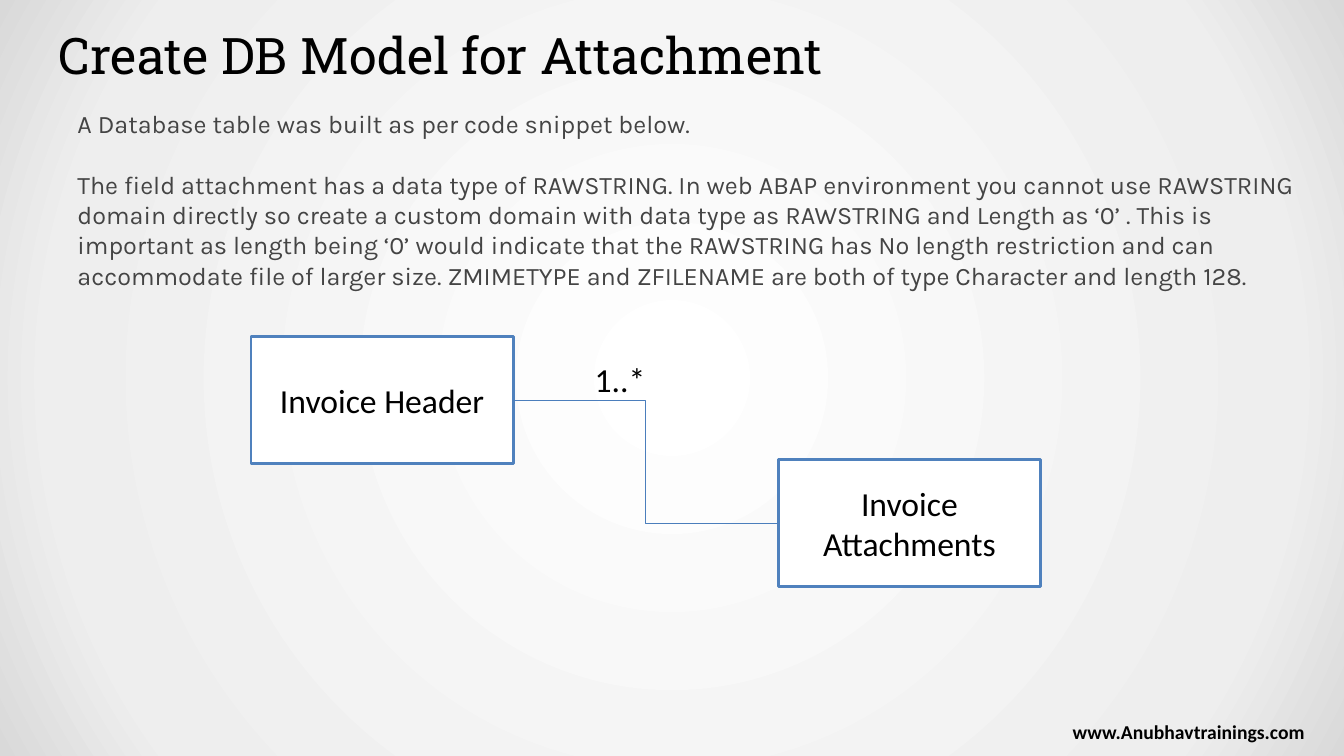
from lxml import etree
from pptx import Presentation
from pptx.dml.color import RGBColor
from pptx.enum.shapes import MSO_CONNECTOR, MSO_SHAPE
from pptx.enum.text import MSO_ANCHOR, MSO_AUTO_SIZE, PP_ALIGN
from pptx.oxml import parse_xml
from pptx.oxml.ns import nsdecls, qn
from pptx.util import Inches, Pt

LEFT, CENTER = PP_ALIGN.LEFT, PP_ALIGN.CENTER
TOP, MIDDLE = MSO_ANCHOR.TOP, MSO_ANCHOR.MIDDLE
FIT_SHAPE, NO_FIT = MSO_AUTO_SIZE.SHAPE_TO_FIT_TEXT, MSO_AUTO_SIZE.NONE
RECTANGLE, ELBOW = MSO_SHAPE.RECTANGLE, MSO_CONNECTOR.ELBOW
LEFT_SIDE, RIGHT_SIDE = 1, 3

COLORS = {
    "text": "000000",
    "body": "444444",
    "box": "FFFFFF",
    "border": "4F81BD",
    "relation": "4B7EBC",
}
BACKGROUND_STOPS = [(0, "FFFFFF"), (81, "EEEEEE"), (100, "D9D9D9")]
BOX_WIDTH, BOX_HEIGHT = 2.6, 1.26

BODY = [
    "A Database table was built as per code snippet below.",
    "The field attachment has a data type of RAWSTRING. In web ABAP environment "
    "you cannot use RAWSTRING domain directly so create a custom domain with data "
    "type as RAWSTRING and Length as ‘0’ . This is important as length being ‘0’ "
    "would indicate that the RAWSTRING has No length restriction and can "
    "accommodate file of larger size. ZMIMETYPE and ZFILENAME are both of type "
    "Character and length 128.",
]


def color(name):
    return RGBColor.from_string(COLORS[name])


def set_background(slide):
    slide.background.fill.solid()
    solid = slide.element.find(".//" + qn("a:solidFill"))
    stops = "".join(
        f'<a:gs pos="{position * 1000}"><a:srgbClr val="{value}"/></a:gs>'
        for position, value in BACKGROUND_STOPS
    )
    gradient = parse_xml(
        f'<a:gradFill {nsdecls("a")} rotWithShape="1"><a:gsLst>{stops}</a:gsLst>'
        '<a:path path="circle"><a:fillToRect l="50000" t="50000" r="50000" '
        'b="50000"/></a:path></a:gradFill>'
    )
    solid.getparent().replace(solid, gradient)


def set_text(shape, text, size, font="Calibri", color_name="text", bold=False,
             align=LEFT, anchor=TOP, fit=NO_FIT, gap=0):
    frame = shape.text_frame
    frame.text = text
    frame.word_wrap = True
    frame.auto_size = fit
    frame.vertical_anchor = anchor
    for index, paragraph in enumerate(frame.paragraphs):
        paragraph.alignment = align
        paragraph.space_before = Pt(gap if index else 0)
        for run in paragraph.runs:
            run.font.name = font
            run.font.size = Pt(size)
            run.font.bold = bold
            run.font.color.rgb = color(color_name)


def set_wide_margins(shape):
    frame = shape.text_frame
    frame.margin_left = frame.margin_right = Inches(0.13)
    frame.margin_top = frame.margin_bottom = Inches(0.07)


def add_title(slide, text):
    title = slide.shapes.title
    title.left, title.top = Inches(0.45), Inches(0.15)
    title.width, title.height = Inches(12), Inches(0.78)
    set_text(title, text, 36, font="Roboto Slab", anchor=MIDDLE)
    set_wide_margins(title)


def add_text(slide, left, top, width, height, text, size, **style):
    box = slide.shapes.add_textbox(
        Inches(left), Inches(top), Inches(width), Inches(height))
    set_text(box, text, size, **style)
    return box


def add_entity(slide, left, top, name):
    entity = slide.shapes.add_shape(
        RECTANGLE, Inches(left), Inches(top), Inches(BOX_WIDTH), Inches(BOX_HEIGHT))
    entity.shadow.inherit = False
    entity.fill.solid()
    entity.fill.fore_color.rgb = color("box")
    entity.line.color.rgb = color("border")
    entity.line.width = Pt(2)
    set_text(entity, name, 24, align=CENTER, anchor=MIDDLE)
    return entity


def add_relation(slide, source, target):
    relation = slide.shapes.add_connector(ELBOW, 0, 0, 0, 0)
    relation.begin_connect(source, RIGHT_SIDE)
    relation.end_connect(target, LEFT_SIDE)
    relation.line.color.rgb = color("relation")
    relation.line.width = Pt(0.75)
    etree.SubElement(relation.element.spPr, qn("a:effectLst"))


def main():
    presentation = Presentation()
    presentation.slide_width = Inches(13.33)
    presentation.slide_height = Inches(7.5)
    slide = presentation.slides.add_slide(presentation.slide_layouts[5])
    set_background(slide)

    # Title, site address and explanation
    add_title(slide, "Create DB Model for Attachment")
    site = add_text(slide, 10.29, 7.06, 3, 0.39, "www.Anubhavtrainings.com", 14,
                    bold=True, align=CENTER, anchor=MIDDLE)
    set_wide_margins(site)
    add_text(slide, 0.67, 1.03, 12.3, 1.92, "\n".join(BODY), 18, font="Karla",
             color_name="body", fit=FIT_SHAPE, gap=21.5)

    # Entity diagram
    header = add_entity(slide, 2.49, 3.34, "Invoice Header")
    attachments = add_entity(slide, 7.72, 4.56, "Invoice Attachments")
    add_relation(slide, header, attachments)
    add_text(slide, 5.8, 3.51, 1.18, 0.5, "1..*", 24, fit=FIT_SHAPE)

    presentation.save("out.pptx")


if __name__ == "__main__":
    main()
